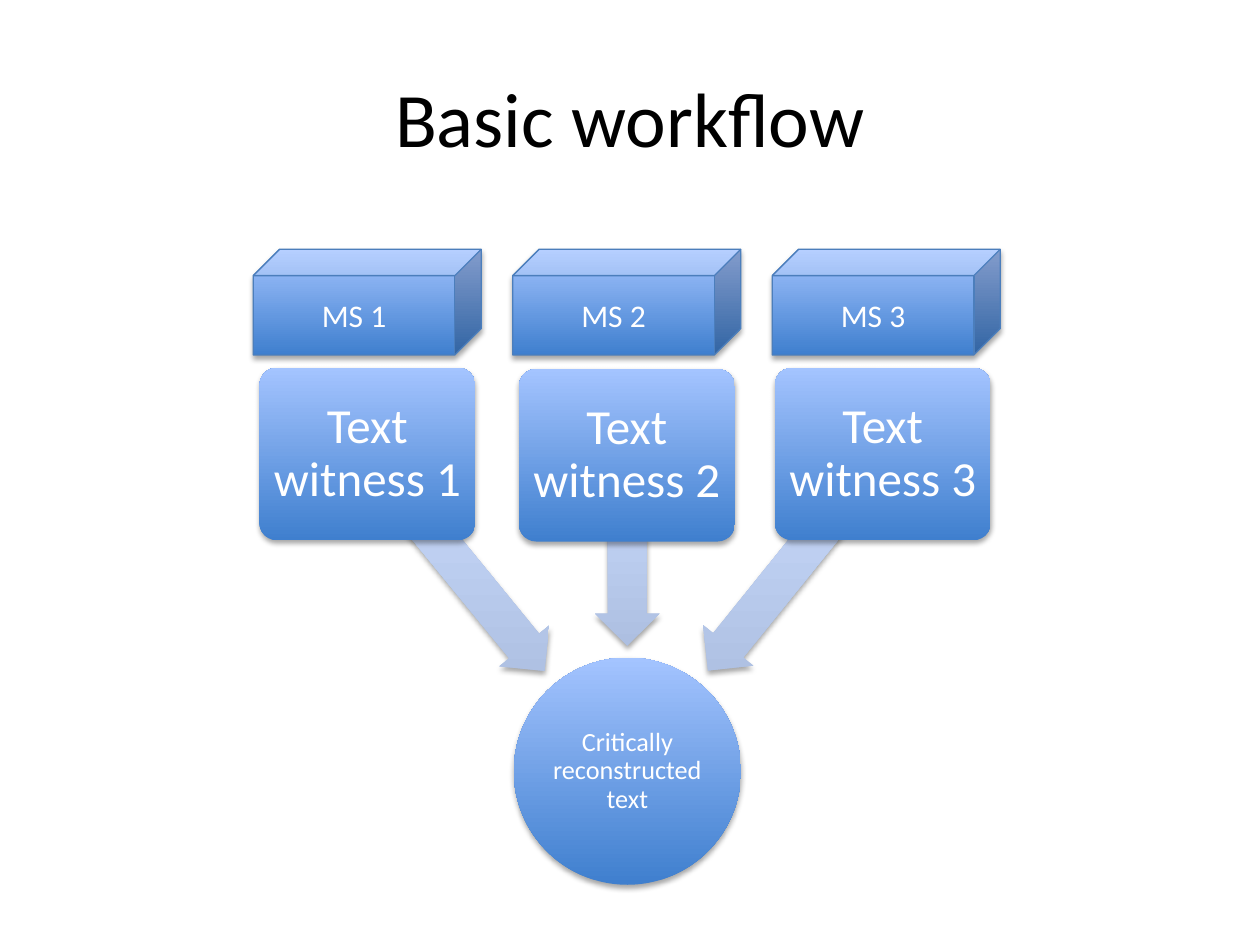
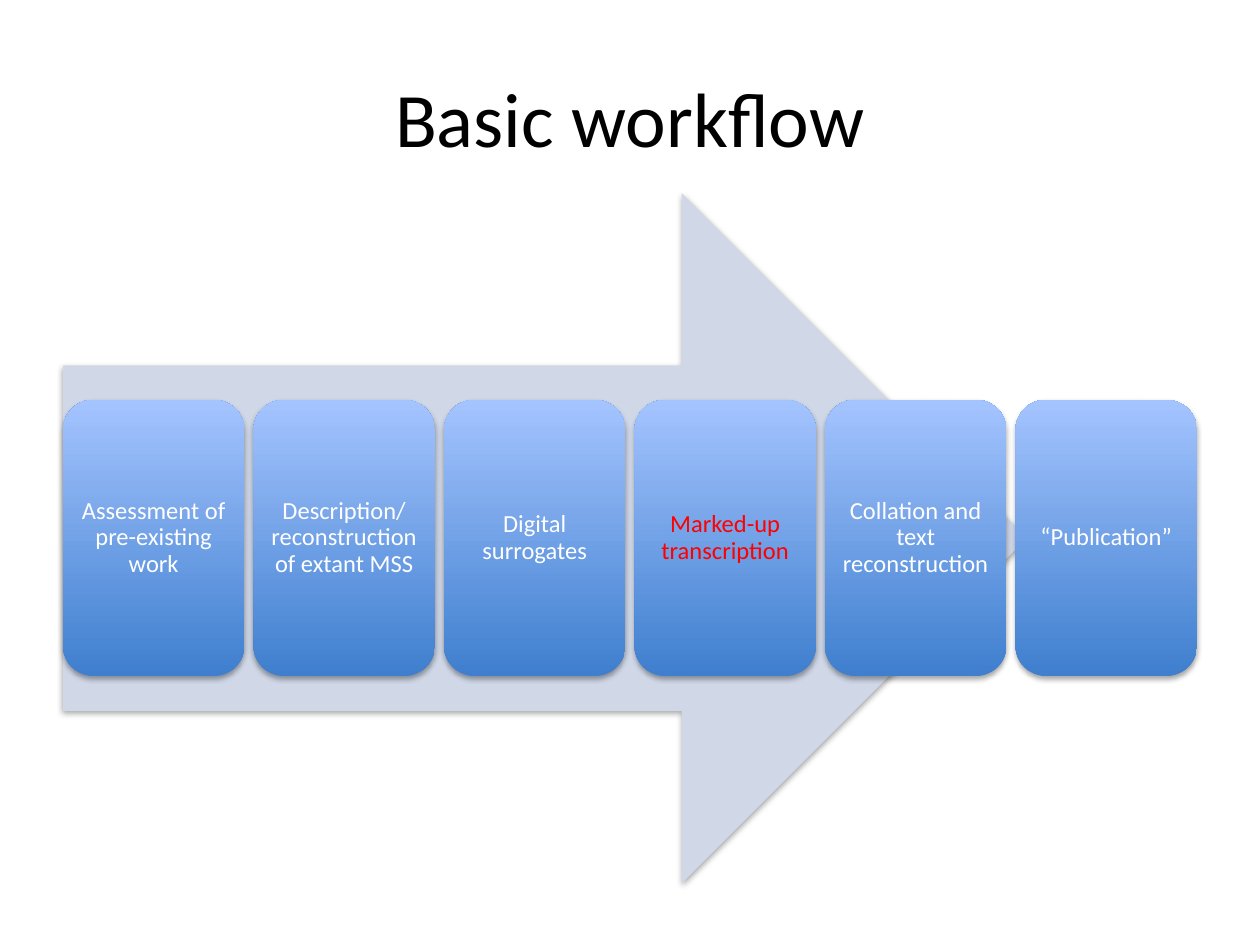
from lxml.etree import SubElement
from pptx import Presentation
from pptx.dml.color import RGBColor
from pptx.enum.shapes import MSO_SHAPE as Shape
from pptx.enum.text import MSO_ANCHOR as Anchor, PP_ALIGN as Align
from pptx.oxml.ns import qn
from pptx.util import Pt

BLUE = ("3F7FCE", "A4C4FF")
PALE_BLUE = ("ADBFE1", "CCDDFF")
WHITE, RED, BLACK = "FFFFFF", "FF0000", "000000"


def paint(color, value):
    color.rgb = RGBColor.from_string(value)


def add_block(page, kind, frame, colors, text="", size=18, text_color=WHITE, inset=None):
    """Add a shadowed shape; colors run from bottom to top, one colour is solid."""
    block = page.shapes.add_shape(kind, *[Pt(length) for length in frame])
    block.line.fill.background()
    if len(colors) == 1:
        block.fill.solid()
        paint(block.fill.fore_color, colors[0])
    else:
        block.fill.gradient()
        block.fill.gradient_angle = 90
        for stop, value in zip(block.fill.gradient_stops, colors):
            paint(stop.color, value)
        # keep the gradient upright on turned shapes
        block.element.spPr.find(qn("a:gradFill")).set("rotWithShape", "0")

    block.shadow.inherit = False
    effects = block.element.spPr.find(qn("a:effectLst"))
    shadow = SubElement(effects, qn("a:outerShdw"), blurRad=str(Pt(3.1)),
                        dist=str(Pt(1.8)), dir="5400000", rotWithShape="0")
    shade = SubElement(shadow, qn("a:srgbClr"), val=BLACK)
    SubElement(shade, qn("a:alpha"), val="35000")

    if text:
        box = block.text_frame
        box.word_wrap = True
        box.vertical_anchor = Anchor.MIDDLE
        para = box.paragraphs[0]
        para.text = text
        para.alignment = Align.CENTER
        if inset is not None:
            para.line_spacing = 0.9
            for side in ("left", "top", "right", "bottom"):
                setattr(box, f"margin_{side}", Pt(inset))
        for name, value in {"name": "Calibri", "size": Pt(size)}.items():
            setattr(para.font, name, value)
        paint(para.font.color, text_color)
    return block


deck = Presentation()
deck.slide_width, deck.slide_height = Pt(720), Pt(540)
title_format = {"name": "Calibri", "size": Pt(44)}
title_frame = {"left": Pt(36), "top": Pt(21.6), "width": Pt(648), "height": Pt(90)}

pages = []
for _ in range(2):
    page = deck.slides.add_slide(deck.slide_layouts[5])
    title = page.shapes.title
    title.text = "Basic workflow"
    for name, value in title_frame.items():
        setattr(title, name, value)
    title.text_frame.vertical_anchor = Anchor.MIDDLE
    para = title.text_frame.paragraphs[0]
    para.alignment = Align.CENTER
    for name, value in title_format.items():
        setattr(para.font, name, value)
    paint(para.font.color, BLACK)
    pages.append(page)
witness_page, process_page = pages

# Slide 1: three manuscripts and their texts lead to one reconstructed text
add_block(witness_page, Shape.OVAL, (293.6, 375.8, 129.8, 129.8), BLUE,
          "Critically\nreconstructed\ntext", 15, inset=0.75)

# witness left and top, arrow left, top and length, arrow rotation
witnesses = [
    (148.3, 210.2, 180.7, 303.1, 159.8, 230.7),
    (296.6, 210.9, 303.8, 295.9, 109.4, 270),
    (442.8, 210.2, 375.1, 303.1, 158.4, 308.9),
]
for index, (left, top, arrow_left, arrow_top, length, turn) in enumerate(witnesses):
    number = index + 1
    arrow = add_block(witness_page, Shape.LEFT_ARROW,
                      (arrow_left, arrow_top, length, 36.9), PALE_BLUE)
    arrow.adjustments[0], arrow.adjustments[1] = 0.6, 0.5
    arrow.rotation = turn
    witness = add_block(witness_page, Shape.ROUNDED_RECTANGLE, (left, top, 123.3, 98.6),
                        BLUE, f"Text witness {number}", 28, inset=4.2)
    witness.adjustments[0] = 0.1
    manuscript = add_block(witness_page, Shape.CUBE, (144.7 + 148.3 * index, 142.4, 130.3, 60.4),
                           BLUE, f"MS {number}")
    manuscript.line.width = Pt(0.75)
    paint(manuscript.line.color, "4B7EBC")

# Slide 2: six steps along one wide arrow
add_block(process_page, Shape.RIGHT_ARROW, (36, 110.2, 550.8, 394.6), ("D0D8E8",))
steps = [
    "Assessment of pre-existing work",
    "Description/reconstruction of extant MSS",
    "Digital surrogates",
    "Marked-up transcription",
    "Collation and text reconstruction",
    "“Publication”",
]
step_width = 103.7
step_pitch = (648 - step_width) / (len(steps) - 1)
for index, step in enumerate(steps):
    color = RED if step.startswith("Marked-up") else WHITE
    add_block(process_page, Shape.ROUNDED_RECTANGLE,
              (36 + step_pitch * index, 228.5, step_width, 157.8),
              BLUE, step, 14, color, inset=4.2)

deck.save("out.pptx")
